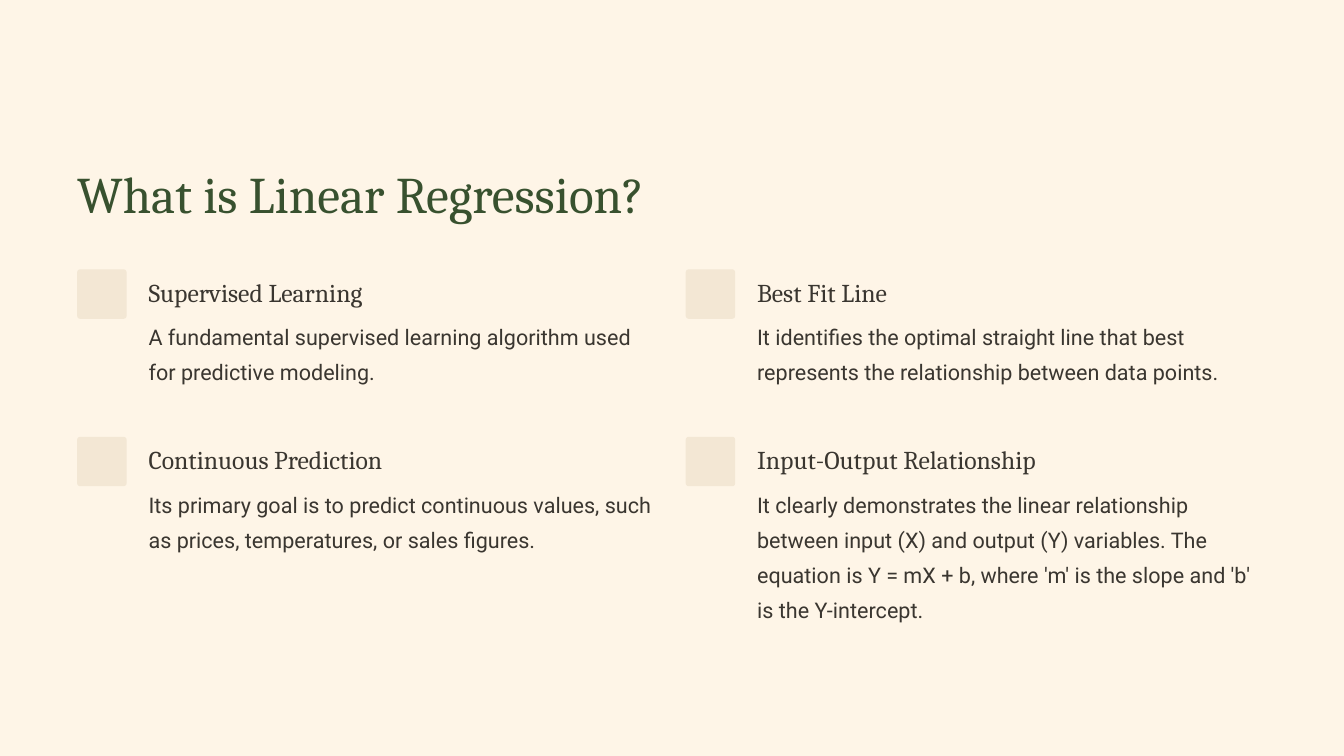
from dataclasses import dataclass

import pptx
import pptx.dml.color
import pptx.enum.shapes
import pptx.enum.text
import pptx.util

Pt = pptx.util.Pt
RGB = pptx.dml.color.RGBColor.from_string


@dataclass(frozen=True)
class Theme:
    background: str = "FEF5E7"
    tile: str = "F3E7D4"
    title: dict = None
    heading: dict = None
    body: dict = None


THEME = Theme(
    title={"name": "Cambria", "size": 55, "color": "38512F", "leading": 68.8},
    heading={"name": "Cambria", "size": 27.5, "color": "3A3630", "leading": 34.4},
    body={"name": "Roboto", "size": 23.1, "color": "3A3630", "leading": 37.5},
)

LEFT, TOP = 82.7, 288.6
COLUMN_STEP, ROW_STEP = 652, 179.4
TILE_SIZE = 53
TEXT_INDENT = 76.5
HEADING_DROP, BODY_DROP = 6.5, 49
TEXT_WIDTH = 546.5
COLUMNS = 2

TOPICS = [
    ("Supervised Learning",
     "A fundamental supervised learning algorithm used for predictive modeling."),
    ("Best Fit Line",
     "It identifies the optimal straight line that best represents the "
     "relationship between data points."),
    ("Continuous Prediction",
     "Its primary goal is to predict continuous values, such as prices, "
     "temperatures, or sales figures."),
    ("Input-Output Relationship",
     "It clearly demonstrates the linear relationship between input (X) and "
     "output (Y) variables. The equation is Y = mX + b, where 'm' is the slope "
     "and 'b' is the Y-intercept."),
]


def write_text(sp, text, style):
    """Fill a shape with one left-aligned paragraph, without insets."""
    tf = sp.text_frame
    frame_format = {
        "margin_left": 0, "margin_top": 0, "margin_right": 0, "margin_bottom": 0,
        "word_wrap": True,
        "auto_size": pptx.enum.text.MSO_AUTO_SIZE.NONE,
        "vertical_anchor": pptx.enum.text.MSO_ANCHOR.TOP,
    }
    for name, value in frame_format.items():
        setattr(tf, name, value)
    p = tf.paragraphs[0]
    p.alignment = pptx.enum.text.PP_ALIGN.LEFT
    p.line_spacing = Pt(style["leading"])
    r = p.add_run()
    r.text = text
    r.font.name = style["name"]
    r.font.size = Pt(style["size"])
    r.font.color.rgb = RGB(style["color"])


def set_title(s, text):
    sp = s.shapes.title
    place = {"left": LEFT, "top": 170.6, "width": 695, "height": 70.5}
    for name, value in place.items():
        setattr(sp, name, Pt(value))
    write_text(sp, text, THEME.title)


def add_text(s, x, y, height, text, style):
    sp = s.shapes.add_textbox(Pt(x), Pt(y), Pt(TEXT_WIDTH), Pt(height))
    write_text(sp, text, style)


def add_tile(s, x, y):
    sp = s.shapes.add_shape(pptx.enum.shapes.MSO_SHAPE.ROUNDED_RECTANGLE,
                            Pt(x), Pt(y), Pt(TILE_SIZE), Pt(TILE_SIZE))
    sp.adjustments[0] = 0.06
    sp.shadow.inherit = False
    sp.fill.solid()
    sp.fill.fore_color.rgb = RGB(THEME.tile)
    sp.line.fill.background()


def add_topic(s, x, y, heading, body):
    add_tile(s, x, y)
    add_text(s, x + TEXT_INDENT, y + HEADING_DROP, 36, heading, THEME.heading)
    add_text(s, x + TEXT_INDENT, y + BODY_DROP, 83, body, THEME.body)


def main():
    prs = pptx.Presentation()
    prs.slide_width, prs.slide_height = Pt(1440), Pt(810)
    s = prs.slides.add_slide(prs.slide_layouts.get_by_name("Title Only"))
    s.background.fill.solid()
    s.background.fill.fore_color.rgb = RGB(THEME.background)

    set_title(s, "What is Linear Regression?")
    for i, (heading, body) in enumerate(TOPICS):
        row, column = divmod(i, COLUMNS)
        add_topic(s, LEFT + column * COLUMN_STEP, TOP + row * ROW_STEP, heading, body)

    prs.save("out.pptx")


if __name__ == "__main__":
    main()
